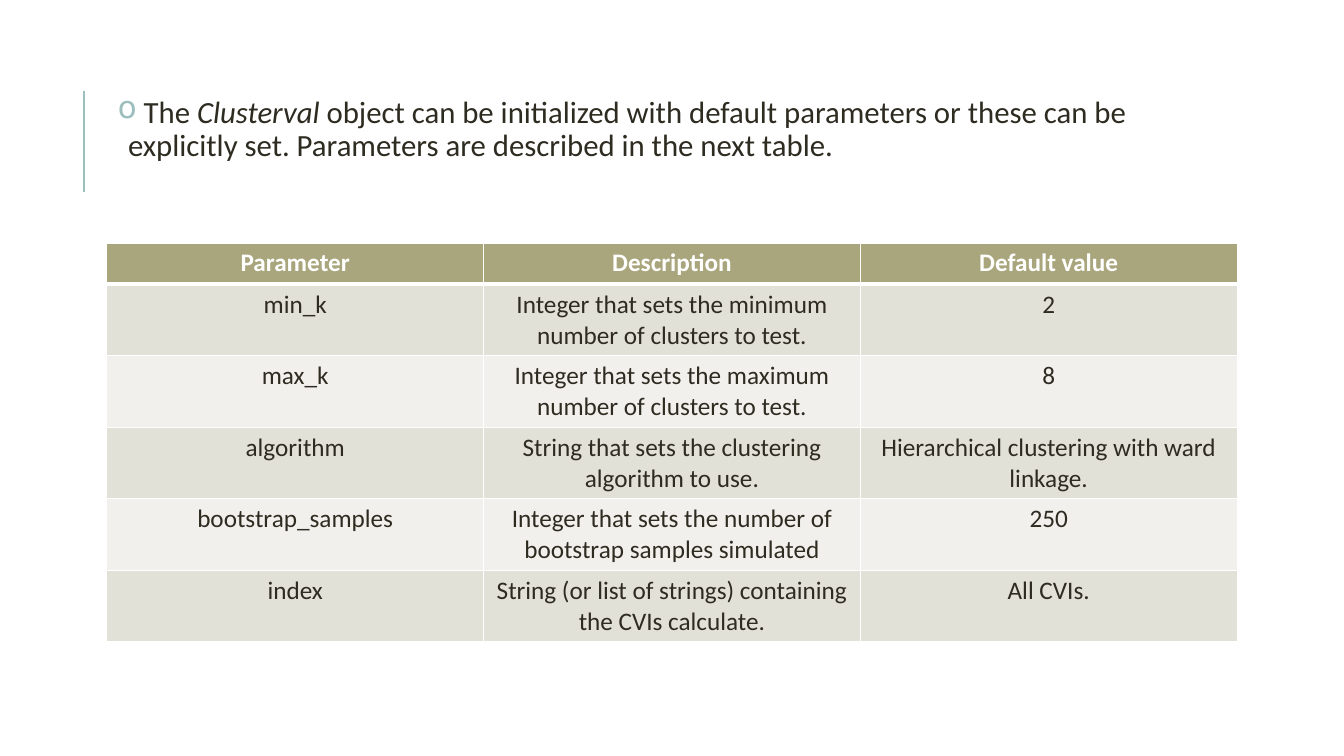
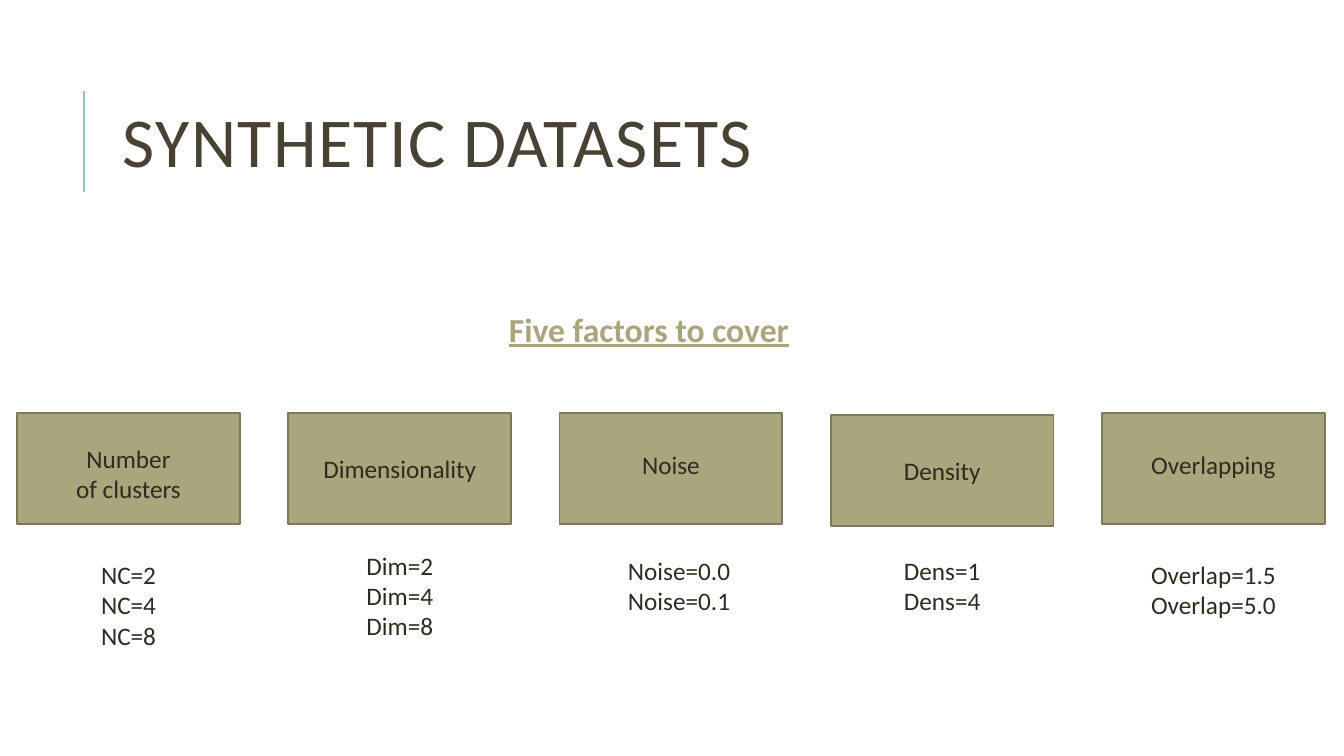
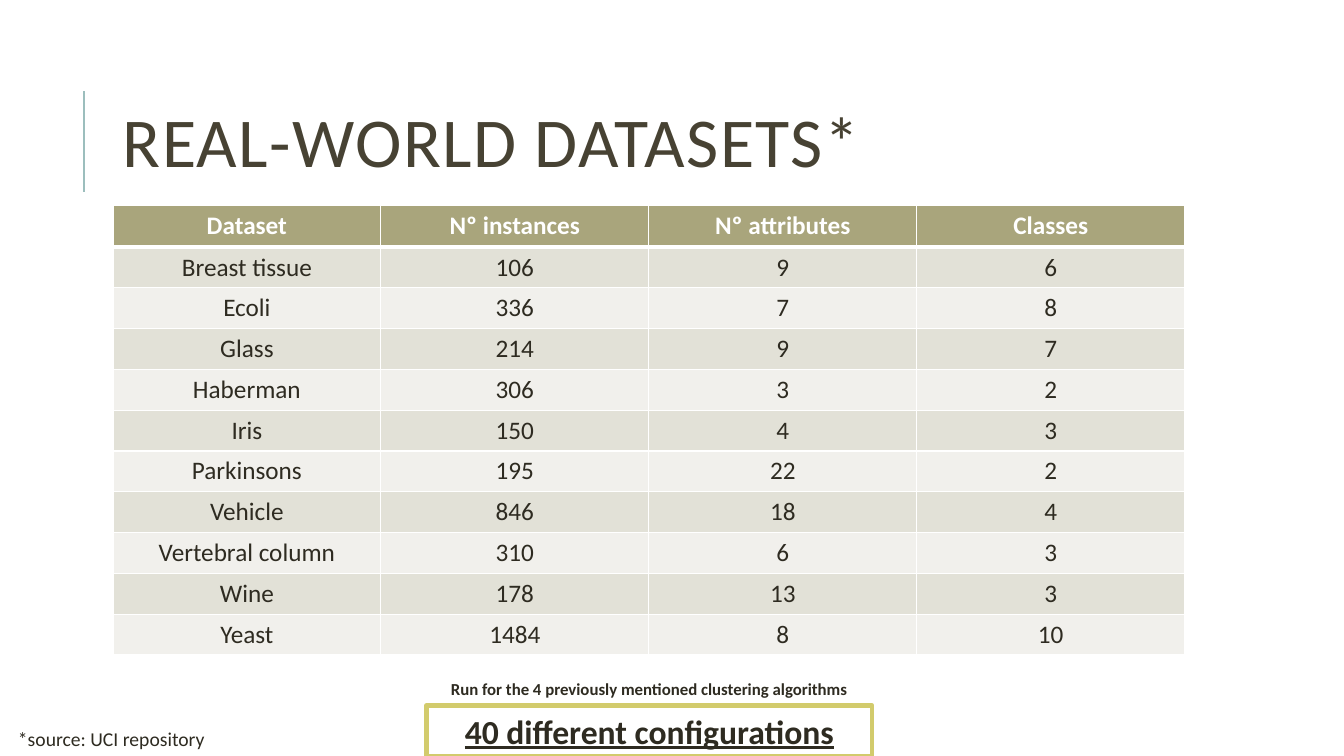
"""Build three slides on cluster parameters and datasets."""
from dataclasses import dataclass
from typing import NamedTuple

from lxml.etree import SubElement
from pptx import Presentation
from pptx.dml.color import RGBColor
from pptx.enum.shapes import MSO_CONNECTOR, MSO_SHAPE
from pptx.enum.text import MSO_ANCHOR, PP_ALIGN
from pptx.oxml.ns import qn
from pptx.util import Inches, Pt


@dataclass(frozen=True)
class Theme:
    """Hold the colours, font and type sizes."""
    font: str = "Calibri"
    ink: str = "2E2B21"
    head: str = "474233"
    olive: str = "A9A57C"
    edge: str = "7D7A5C"
    teal: str = "9CBEBD"
    lime: str = "D2CB6C"
    white: str = "FFFFFF"
    bands: tuple[str, str] = ("E2E1D7", "F1F0EC")
    title: int = 50
    lead: int = 24
    body: int = 22
    base: int = 18
    note: int = 14
    small: int = 12


class Box(NamedTuple):
    """Place a shape, in inches."""
    left: float
    top: float
    width: float
    height: float


class Factor(NamedTuple):
    """Describe one factor and its levels."""
    name: str
    width: float
    top: float
    levels: str
    base: float
    shift: float = 0
    drop: float = 0


LOOK = Theme()

PARAMS = (
    ("Parameter", "Description", "Default value"),
    ("min_k", "Integer that sets the minimum number of clusters to test.", "2"),
    ("max_k", "Integer that sets the maximum number of clusters to test.", "8"),
    ("algorithm", "String that sets the clustering algorithm to use.",
     "Hierarchical clustering with ward linkage."),
    ("bootstrap_samples", "Integer that sets the number of bootstrap samples simulated", "250"),
    ("index", "String (or list of strings) containing the CVIs calculate.", "All CVIs."),
)

FACTORS = (
    Factor("Number of clusters", 1.26, 4.35, "NC=2\nNC=4\nNC=8", 5.5),
    Factor("Dimensionality", 1.74, 4.45, "Dim=2\nDim=4\nDim=8", 5.41),
    Factor("Noise", 1.26, 4.41, "Noise=0.0\nNoise=0.1", 5.46, shift=0.08),
    Factor("Density", 1.26, 4.47, "Dens=1\nDens=4", 5.46, drop=0.02),
    Factor("Overlapping", 1.53, 4.41, "Overlap=1.5\nOverlap=5.0", 5.5),
)

DATA = (
    ("Dataset", "Nº instances", "Nº attributes", "Classes"),
    ("Breast tissue", "106", "9", "6"),
    ("Ecoli", "336", "7", "8"),
    ("Glass", "214", "9", "7"),
    ("Haberman", "306", "3", "2"),
    ("Iris", "150", "4", "3"),
    ("Parkinsons", "195", "22", "2"),
    ("Vehicle", "846", "18", "4"),
    ("Vertebral column", "310", "6", "3"),
    ("Wine", "178", "13", "3"),
    ("Yeast", "1484", "8", "10"),
)


def tint(code: str) -> RGBColor:
    """Turn a hex code into a colour."""
    return RGBColor.from_string(code)


def span(box: Box) -> tuple:
    """Turn a box into lengths."""
    return tuple(Inches(side) for side in box)


def write(frame, text: str, *, size: int = LOOK.base, color: str = LOOK.ink,
          bold: bool = False, line: bool = False, slant: str = "",
          align=PP_ALIGN.CENTER, lead: float = 1, track: int = 0) -> None:
    """Fill a text frame, one paragraph for each line of text."""
    frame.word_wrap = True
    for i, row in enumerate(text.split("\n")):
        para = frame.add_paragraph() if i else frame.paragraphs[0]
        para.alignment = align
        para.line_spacing = lead
        parts = row.partition(slant) if slant else (row,)
        for part in parts:
            run = para.add_run()
            run.text = part
            font = run.font
            font.name, font.size, font.bold = LOOK.font, Pt(size), bold
            font.underline = line
            font.italic = bool(slant) and part == slant
            font.color.rgb = tint(color)
            if track:
                font._element.set("spc", str(track))


def label(slide, box: Box, text: str, *, inset: float = 0.1,
          anchor=MSO_ANCHOR.TOP, **form):
    """Add a text box and return its frame."""
    frame = slide.shapes.add_textbox(*span(box)).text_frame
    frame.margin_left = frame.margin_right = Inches(inset)
    frame.vertical_anchor = anchor
    write(frame, text, **form)
    return frame


def block(slide, box: Box, edge: str, weight: float, fill: str = ""):
    """Add a plain rectangle."""
    shape = slide.shapes.add_shape(MSO_SHAPE.RECTANGLE, *span(box))
    shape.shadow.inherit = False
    if fill:
        shape.fill.solid()
        shape.fill.fore_color.rgb = tint(fill)
    else:
        shape.fill.background()
    shape.line.color.rgb = tint(edge)
    shape.line.width = Pt(weight)
    return shape


def border(cell, top: int, base: int) -> None:
    """Draw white lines round a cell."""
    props = cell._tc.get_or_add_tcPr()
    for side, weight in (("L", 1), ("R", 1), ("T", top), ("B", base)):
        rule = SubElement(props, qn(f"a:ln{side}"), w=str(Pt(weight)))
        fill = SubElement(rule, qn("a:solidFill"))
        SubElement(fill, qn("a:srgbClr"), val=LOOK.white)


def grid(slide, box: Box, rows: tuple, first: float) -> None:
    """Add a banded table whose first row has its own height."""
    table = slide.shapes.add_table(len(rows), len(rows[0]), *span(box)).table
    rest = (box.height - first) / (len(rows) - 1)
    for i, row in enumerate(rows):
        table.rows[i].height = Inches(rest if i else first)
        shade = LOOK.bands[(i - 1) % 2] if i else LOOK.olive
        for j, text in enumerate(row):
            cell = table.cell(i, j)
            border(cell, 3 if i == 1 else 1, 1 if i else 3)
            cell.fill.solid()
            cell.fill.fore_color.rgb = tint(shade)
            write(cell.text_frame, text, bold=not i,
                  color=LOOK.ink if i else LOOK.white)


def start(deck, title: str = ""):
    """Add a slide with the side rule and an optional title."""
    slide = deck.slides.add_slide(deck.slide_layouts[6])
    rule = slide.shapes.add_connector(
        MSO_CONNECTOR.STRAIGHT, Inches(0.83), Inches(1.9), Inches(0.83), Inches(0.9))
    rule.line.color.rgb = tint(LOOK.teal)
    rule.line.width = Pt(1.5)
    SubElement(rule._element.spPr, qn("a:effectLst"))
    if title:
        label(slide, Box(1.12, 0.64, 10.63, 1.64), title, size=LOOK.title,
              color=LOOK.head, align=PP_ALIGN.LEFT, lead=0.8, track=100,
              anchor=MSO_ANCHOR.MIDDLE)
    return slide


def bullet(para, sign: str) -> None:
    """Give a paragraph a hanging bullet."""
    props = para._p.get_or_add_pPr()
    props.set("marL", str(Inches(0.1)))
    props.set("indent", str(-Inches(0.1)))
    color = SubElement(props, qn("a:buClr"))
    SubElement(color, qn("a:srgbClr"), val=LOOK.teal)
    SubElement(props, qn("a:buChar"), char=sign)


def params(deck) -> None:
    """Build the slide of parameters."""
    slide = start(deck)
    frame = label(
        slide, Box(1.12, 0.91, 10.63, 1),
        " The Clusterval object can be initialized with default parameters or these "
        "can be explicitly set. Parameters are described in the next table.",
        size=LOOK.body, slant="Clusterval ", align=PP_ALIGN.LEFT, lead=0.9, inset=0.05)
    bullet(frame.paragraphs[0], "o")
    grid(slide, Box(1.06, 2.41, 11.21, 3.96), PARAMS, 0.41)


def factors(deck) -> None:
    """Build the slide of five factors."""
    slide = start(deck, "SYNTHETIC DATASETS")
    label(slide, Box(1.12, 3.06, 10.63, 0.5), "Five factors to cover", size=LOOK.lead,
          color=LOOK.olive, bold=True, line=True, lead=0.9, inset=0.05)
    width, step = 2.21, 2.69
    for i, item in enumerate(FACTORS):
        left = 0.17 + i * step
        block(slide, Box(left, 4.1 + item.drop, width, 1.1), LOOK.edge, 1.25, LOOK.olive)
        label(slide, Box(left + (width - item.width) / 2, item.top, item.width, 0.4),
              item.name)
        high = 0.1 + 0.3 * len(item.levels.split("\n"))
        label(slide, Box(left + item.shift, item.base, width, high), item.levels)


def data(deck) -> None:
    """Build the slide of real datasets."""
    slide = start(deck, "REAL-WORLD DATASETS*")
    grid(slide, Box(1.12, 2.04, 10.63, 4.46), DATA, 0.41)
    label(slide, Box(0.08, 7.16, 3.15, 0.34), "*source: UCI repository",
          size=LOOK.note, align=PP_ALIGN.LEFT)
    frame = block(slide, Box(4.23, 7, 4.42, 0.5), LOOK.lime, 3).text_frame
    write(frame, "40 different configurations", size=LOOK.lead, bold=True, line=True)
    label(slide, Box(4.23, 6.68, 4.42, 0.3),
          "Run for the 4 previously mentioned clustering algorithms",
          size=LOOK.small, bold=True)


def main() -> None:
    """Build and save the deck."""
    deck = Presentation()
    deck.slide_width, deck.slide_height = Inches(13.33), Inches(7.5)
    for build in (params, factors, data):
        build(deck)
    deck.save("out.pptx")


if __name__ == "__main__":
    main()
